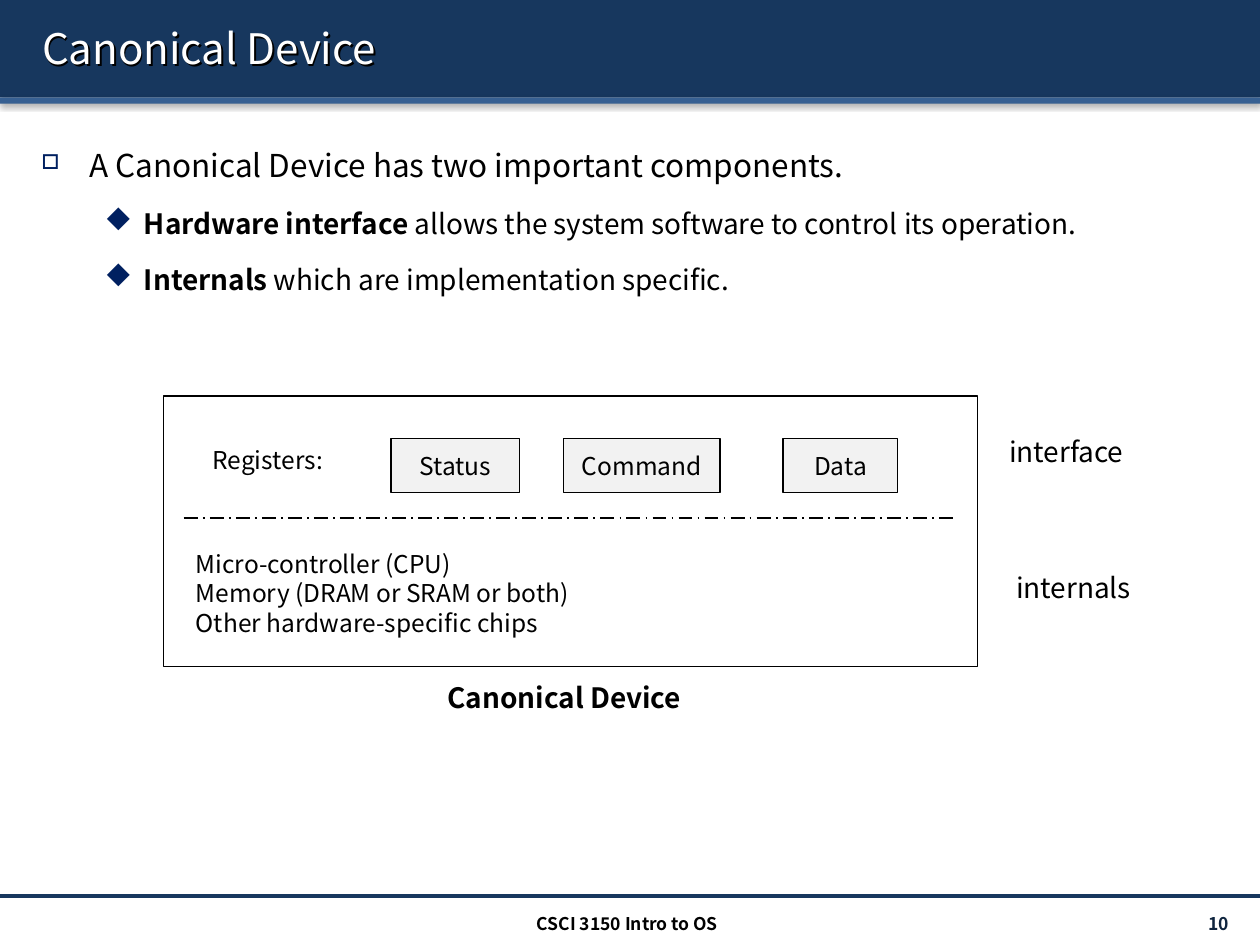
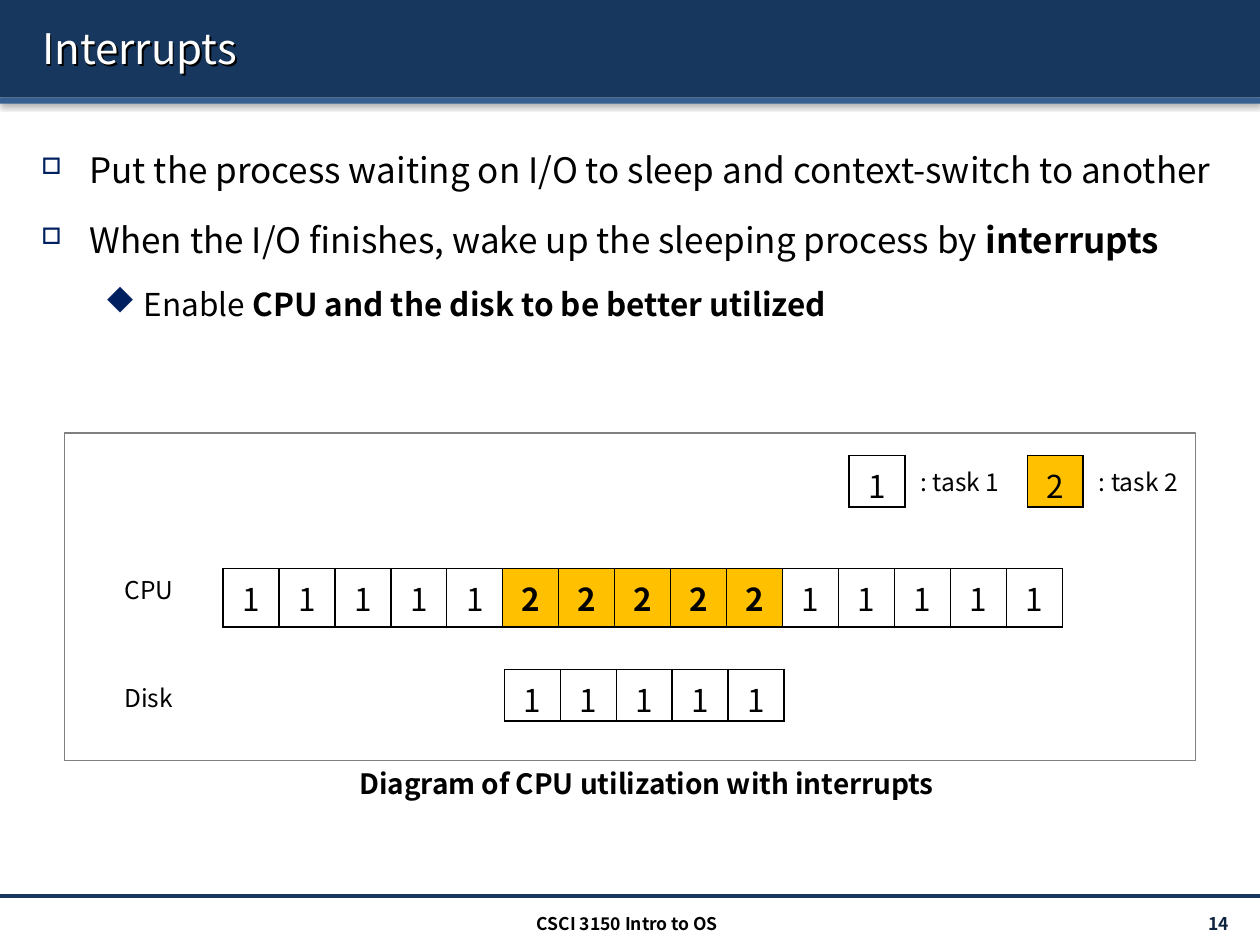
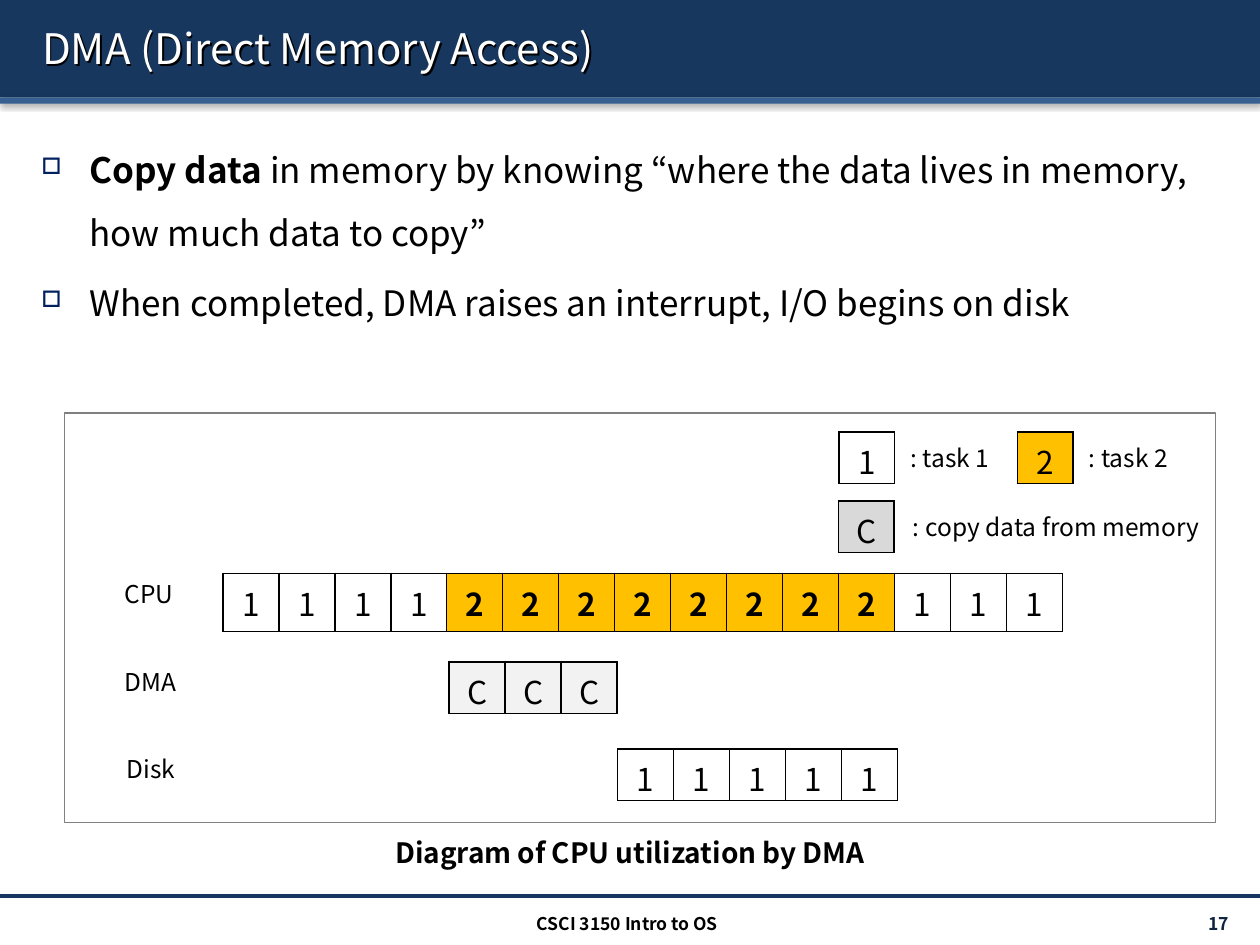
from dataclasses import dataclass, field

from lxml.etree import SubElement
from pptx import Presentation
from pptx.dml.color import RGBColor
from pptx.enum.dml import MSO_LINE
from pptx.enum.shapes import MSO_CONNECTOR, MSO_SHAPE
from pptx.enum.text import MSO_ANCHOR, PP_ALIGN
from pptx.oxml import parse_xml
from pptx.oxml.ns import nsdecls, qn
from pptx.util import Pt


@dataclass(frozen=True)
class Theme:
    font: str = "Noto Sans CJK KR"
    bullet_font: str = "Wingdings"
    navy: str = "17375E"
    blue: str = "376092"
    bullet: str = "002060"
    page_number: str = "0F243E"
    black: str = "000000"
    white: str = "FFFFFF"
    grey: str = "808080"
    light: str = "F2F2F2"
    silver: str = "D9D9D9"
    amber: str = "FFC000"
    title_size: float = 24
    cell_size: float = 18
    caption_size: float = 16
    label_size: float = 14
    footer_size: float = 10


THEME = Theme()
TASK_FILLS = {"2": THEME.amber, "C": THEME.light}
SLIDE_WIDTH, SLIDE_HEIGHT = 720, 540
CELL_WIDTH, CELL_HEIGHT, CPU_CELL_HEIGHT = 32, 29.5, 33.4


@dataclass(frozen=True)
class Box:
    left: float
    top: float
    width: float
    height: float

    def lengths(self) -> tuple:
        return Pt(self.left), Pt(self.top), Pt(self.width), Pt(self.height)


@dataclass(frozen=True)
class Span:
    text: str
    bold: bool = False


@dataclass(frozen=True)
class BulletStyle:
    """A bullet level; mark is the key of the symbol in the bullet font."""
    mark: str
    margin: float
    hang: float
    percent: int


@dataclass(frozen=True)
class Bullet:
    spans: list[Span]
    size: float
    level: int = 0


@dataclass(frozen=True)
class Label:
    text: str
    box: Box
    size: float = THEME.label_size
    bold: bool = False
    align: PP_ALIGN = PP_ALIGN.LEFT
    color: str = THEME.black
    anchor: MSO_ANCHOR = MSO_ANCHOR.TOP


@dataclass(frozen=True)
class Register:
    name: str
    left: float
    width: float


@dataclass(frozen=True)
class Track:
    """One row of the timeline; each character of tasks is a time slot."""
    name: str
    label_left: float
    label_top: float
    left: float
    top: float
    tasks: str
    height: float = CELL_HEIGHT


@dataclass(frozen=True)
class LegendItem:
    task: str
    text: str
    left: float
    top: float
    gap: float = 33.8
    fills: dict = field(default_factory=lambda: TASK_FILLS)


BULLET_STYLES = (BulletStyle("o", 27.4, 27.4, 65), BulletStyle("u", 58.6, 22.5, 100))
TITLE_BOX = Box(17, 4.3, 692, 46.1)
BODY_BOX = Box(16.6, 69.1, 692, 331.2)


def color_of(value: str) -> RGBColor:
    return RGBColor.from_string(value)


def set_shadow(shape, blur: float, distance: float, angle: int, alpha: int) -> None:
    shape.shadow.inherit = False
    properties = shape._element.spPr
    properties.replace(properties.find(qn("a:effectLst")), parse_xml(
        f'<a:effectLst {nsdecls("a")}><a:outerShdw blurRad="{Pt(blur)}" dist="{Pt(distance)}" '
        f'dir="{angle * 60000}" algn="ctr" rotWithShape="0"><a:srgbClr val="{THEME.black}">'
        f'<a:alpha val="{alpha * 1000}"/></a:srgbClr></a:outerShdw></a:effectLst>'))


def style_run(run, size: float, bold: bool = False, color: str = THEME.black) -> None:
    run.font.name = THEME.font
    run.font.size = Pt(size)
    run.font.bold = bold
    run.font.color.rgb = color_of(color)


def add_label(slide, label: Label):
    box = slide.shapes.add_textbox(*label.box.lengths())
    frame = box.text_frame
    frame.word_wrap = True
    frame.vertical_anchor = label.anchor
    frame.text = label.text
    for para in frame.paragraphs:
        para.alignment = label.align
        for run in para.runs:
            style_run(run, label.size, label.bold, label.color)
    return box


def add_rectangle(slide, box: Box, fill: str | None = None, line: str | None = None):
    shape = slide.shapes.add_shape(MSO_SHAPE.RECTANGLE, *box.lengths())
    shape.shadow.inherit = False
    if fill:
        shape.fill.solid()
        shape.fill.fore_color.rgb = color_of(fill)
    else:
        shape.fill.background()
    if line:
        shape.line.color.rgb = color_of(line)
        shape.line.width = Pt(0.75)
    else:
        shape.line.fill.background()
    return shape


def add_horizontal_line(slide, start: float, end: float, y: float, color: str, width: float):
    line = slide.shapes.add_connector(MSO_CONNECTOR.STRAIGHT, Pt(start), Pt(y), Pt(end), Pt(y))
    line.line.color.rgb = color_of(color)
    line.line.width = Pt(width)
    SubElement(line._element.spPr, qn("a:effectLst"))
    return line


def add_page(deck, title: str, number: int):
    """Add a slide with its header bands, title, footer and page number."""
    slide = deck.slides.add_slide(deck.slide_layouts[6])
    for box, fill in ((Box(0, 0, SLIDE_WIDTH, 55.6), THEME.navy),
                      (Box(0, 55.6, SLIDE_WIDTH, 3.6), THEME.blue)):
        set_shadow(add_rectangle(slide, box, fill), 3.1, 1.6, 90, 38)
    add_horizontal_line(slide, 0, SLIDE_WIDTH, 512, THEME.navy, 2)
    heading = add_label(slide, Label(title, TITLE_BOX, THEME.title_size,
                                     color=THEME.white, anchor=MSO_ANCHOR.MIDDLE))
    set_shadow(heading, 0, 1.5, 45, 100)
    add_label(slide, Label(str(number), Box(627.3, 519, 82, 17.3), THEME.footer_size, True,
                           PP_ALIGN.RIGHT, THEME.page_number, MSO_ANCHOR.MIDDLE))
    add_label(slide, Label("CSCI 3150 Intro to OS", Box(239, 518.4, 239, 17.3),
                           THEME.footer_size, True, PP_ALIGN.CENTER))
    return slide


def add_bullet_mark(para, style: BulletStyle) -> None:
    properties = para._element.get_or_add_pPr()
    properties.set("marL", str(Pt(style.margin)))
    properties.set("indent", str(-Pt(style.hang)))
    color = SubElement(properties, qn("a:buClr"))
    SubElement(color, qn("a:srgbClr"), val=THEME.bullet)
    SubElement(properties, qn("a:buSzPct"), val=str(style.percent * 1000))
    SubElement(properties, qn("a:buFont"), typeface=THEME.bullet_font, pitchFamily="2", charset="2")
    SubElement(properties, qn("a:buChar"), char=style.mark)


def add_body(slide, bullets: list[Bullet]) -> None:
    frame = slide.shapes.add_textbox(*BODY_BOX.lengths()).text_frame
    frame.word_wrap = True
    for index, bullet in enumerate(bullets):
        para = frame.add_paragraph() if index else frame.paragraphs[0]
        para.level = bullet.level
        add_bullet_mark(para, BULLET_STYLES[bullet.level])
        para.line_spacing = 1.5
        if index:
            para.space_before = Pt(round(0.2 * bullet.size, 1))
        for span in bullet.spans:
            run = para.add_run()
            run.text = span.text
            style_run(run, bullet.size, span.bold)


def add_cell_borders(cell) -> None:
    properties = cell._tc.get_or_add_tcPr()
    for index, side in enumerate(("lnL", "lnR", "lnT", "lnB")):
        properties.insert(index, parse_xml(
            f'<a:{side} {nsdecls("a")} w="{Pt(1)}"><a:solidFill>'
            f'<a:srgbClr val="{THEME.black}"/></a:solidFill></a:{side}>'))


def add_slots(slide, tasks: str, left: float, top: float, fills: dict,
              height: float = CELL_HEIGHT, bold_tasks: str = "") -> None:
    """Draw one table row with a cell for each task character."""
    box = Box(left, top, CELL_WIDTH * len(tasks), height)
    table = slide.shapes.add_table(1, len(tasks), *box.lengths()).table
    table.first_row = False
    table.horz_banding = False
    for column, task in enumerate(tasks):
        table.columns[column].width = Pt(CELL_WIDTH)
        cell = table.cell(0, column)
        cell.text_frame.text = task
        para = cell.text_frame.paragraphs[0]
        para.alignment = PP_ALIGN.CENTER
        style_run(para.runs[0], THEME.cell_size, task in bold_tasks)
        if task in fills:
            cell.fill.solid()
            cell.fill.fore_color.rgb = color_of(fills[task])
        else:
            cell.fill.background()
        add_cell_borders(cell)


def add_timeline(slide, frame: Box, tracks: list[Track], legend: list[LegendItem]) -> None:
    add_rectangle(slide, frame, line=THEME.grey)
    for track in tracks:
        add_label(slide, Label(track.name, Box(track.label_left, track.label_top, 57.6, 24.5)))
        add_slots(slide, track.tasks, track.left, track.top, TASK_FILLS, track.height, bold_tasks="2")
    for item in legend:
        add_slots(slide, item.task, item.left, item.top, item.fills)
        width = 190 if len(item.text) > 10 else 70
        add_label(slide, Label(item.text, Box(item.left + item.gap, item.top + 3, width, 24.5)))


def add_caption(slide, text: str, left: float, top: float, width: float) -> None:
    add_label(slide, Label(text, Box(left, top, width, 26.6), THEME.caption_size, True,
                           PP_ALIGN.CENTER))


def build_canonical_device(deck) -> None:
    slide = add_page(deck, "Canonical Device", 10)
    add_body(slide, [
        Bullet([Span("A Canonical Device has two important components.")], 18),
        Bullet([Span("Hardware interface", True),
                Span(" allows the system software to control its operation.")], 16, 1),
        Bullet([Span("Internals", True), Span(" which are implementation specific.")], 16, 1),
    ])
    add_rectangle(slide, Box(93.6, 226.2, 465, 154.8), line=THEME.black)
    add_horizontal_line(slide, 105, 547, 296, THEME.black, 1).line.dash_style = MSO_LINE.LONG_DASH_DOT
    for register in (Register("Status", 223.5, 73.6), Register("Command", 322.2, 89.3),
                     Register("Data", 447.5, 65.5)):
        box = Box(register.left, 250.6, register.width, 31)
        shape = add_rectangle(slide, box, THEME.light, THEME.black)
        frame = shape.text_frame
        frame.margin_left = frame.margin_right = 0
        frame.vertical_anchor = MSO_ANCHOR.MIDDLE
        frame.text = register.name
        frame.paragraphs[0].alignment = PP_ALIGN.CENTER
        style_run(frame.paragraphs[0].runs[0], THEME.label_size)
    for label in (
        Label("Registers:", Box(114.3, 250.6, 115, 24.5)),
        Label("Micro-controller (CPU)\nMemory (DRAM or SRAM or both)\nOther hardware-specific chips",
              Box(104.8, 310, 306, 58.3)),
        Label("interface", Box(569.5, 244.8, 115, 26.6), THEME.caption_size),
        Label("internals", Box(573.5, 322.6, 115, 26.6), THEME.caption_size),
    ):
        add_label(slide, label)
    add_caption(slide, "Canonical Device", 228.2, 385.2, 188.6)


def build_interrupts(deck) -> None:
    slide = add_page(deck, "Interrupts", 14)
    add_body(slide, [
        Bullet([Span("Put the process waiting on I/O to sleep and context-switch to another")], 20),
        Bullet([Span("When the I/O finishes, wake up the sleeping process by "),
                Span("interrupts", True)], 20),
        Bullet([Span("Enable "), Span("CPU and the disk to be better utilized", True)], 18, 1),
    ])
    add_timeline(
        slide, Box(36.7, 247.5, 646.5, 187),
        [Track("CPU", 64, 325, 127.4, 325, "111112222211111", CPU_CELL_HEIGHT),
         Track("Disk", 64, 386.6, 288.2, 382.5, "11111")],
        [LegendItem("1", ": task 1", 485.1, 260.2), LegendItem("2", ": task 2", 587, 260.2)],
    )
    add_caption(slide, "Diagram of CPU utilization with interrupts", 177, 434.6, 385.2)


def build_dma(deck) -> None:
    slide = add_page(deck, "DMA (Direct Memory Access)", 17)
    add_body(slide, [
        Bullet([Span("Copy data ", True),
                Span("in memory by knowing “where the data lives in memory, "
                     "how much data to copy”")], 20),
        Bullet([Span("When completed, DMA raises an interrupt, I/O begins on disk")], 20),
    ])
    add_timeline(
        slide, Box(36.7, 236, 657.8, 234),
        [Track("CPU", 64, 327.6, 127.4, 327.6, "111122222222111", CPU_CELL_HEIGHT),
         Track("DMA", 64, 377.7, 256.7, 378.3, "CCC"),
         Track("Disk", 65.3, 427.2, 353, 428, "11111")],
        [LegendItem("1", ": task 1", 479.3, 246.8), LegendItem("2", ": task 2", 581.3, 246.8),
         LegendItem("C", ": copy data from memory", 479, 286.3, 35.6, {"C": THEME.silver})],
    )
    add_caption(slide, "Diagram of CPU utilization by DMA", 167.4, 473.8, 385.2)


def main() -> None:
    deck = Presentation()
    deck.slide_width, deck.slide_height = Pt(SLIDE_WIDTH), Pt(SLIDE_HEIGHT)
    build_canonical_device(deck)
    build_interrupts(deck)
    build_dma(deck)
    deck.save("out.pptx")


if __name__ == "__main__":
    main()
